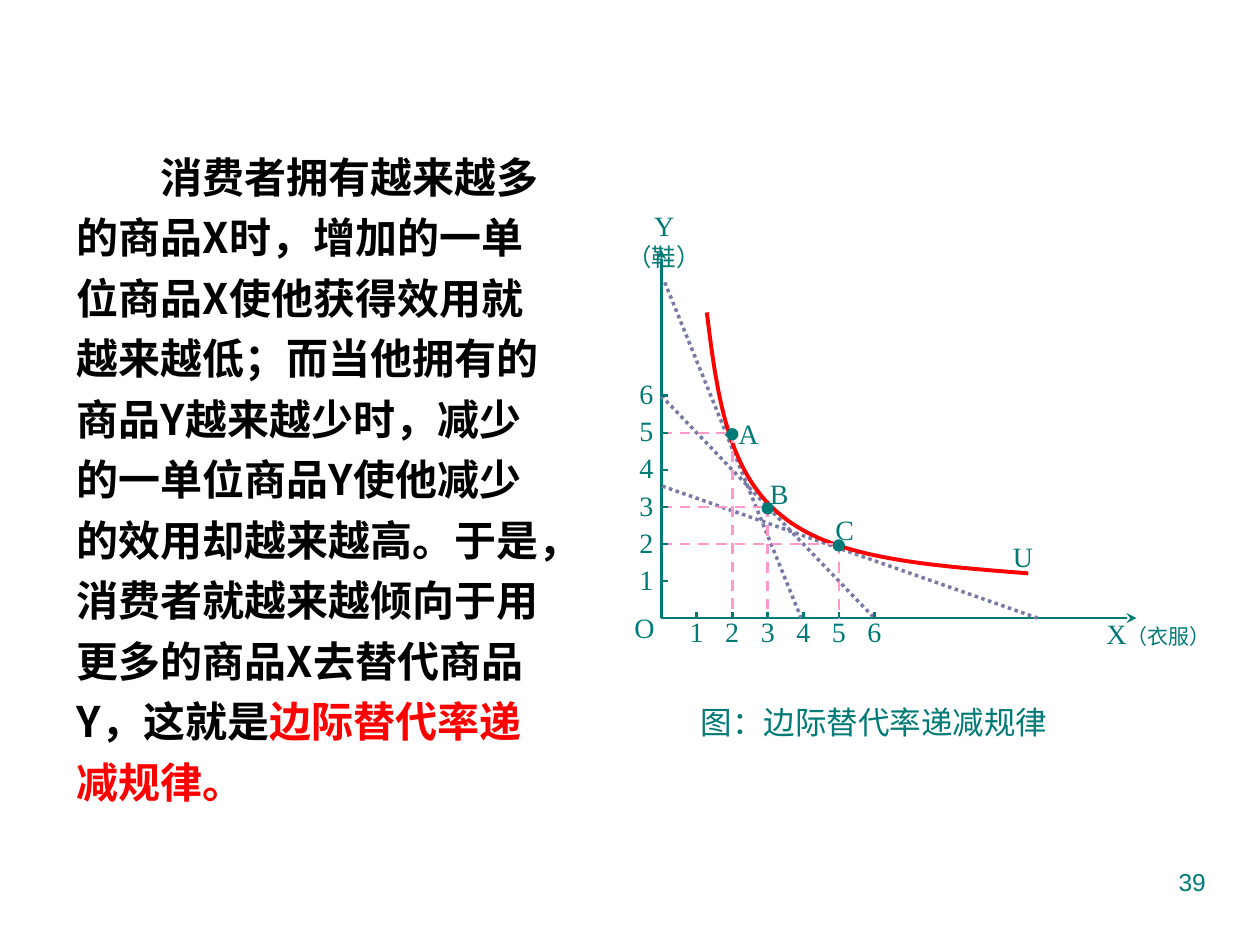
from dataclasses import dataclass

from pptx import Presentation
from pptx.dml.color import RGBColor
from pptx.enum.dml import MSO_LINE
from pptx.enum.shapes import MSO_CONNECTOR, MSO_SHAPE
from pptx.enum.text import PP_ALIGN
from pptx.oxml.ns import qn
from pptx.shapes.connector import Connector
from pptx.slide import Slide
from pptx.util import Cm, Pt
from lxml.etree import SubElement

TEAL = RGBColor(0x00, 0x7A, 0x77)
RED = RGBColor(0xFF, 0x00, 0x00)
BLACK = RGBColor(0x00, 0x00, 0x00)
PINK = RGBColor(0xFF, 0x99, 0xCC)
VIOLET = RGBColor(0x79, 0x79, 0xA5)

SERIF = "Times New Roman"
HAN = "Noto Sans CJK SC"

# Origin of the axes and length of one unit, in cm
ORIGIN_X, ORIGIN_Y = 13.33, 12.46
UNIT_X, UNIT_Y = 0.716, 0.747
TICK = 0.13
DOT = 0.25
DOT_DROP = 0.03
LABEL_WIDTH, LABEL_HEIGHT = 1.17, 1.02

Place = tuple[float, float]


@dataclass(frozen=True)
class Run:
    text: str
    size: float = 16
    font: str = SERIF
    color: RGBColor = TEAL
    bold: bool = False


@dataclass(frozen=True)
class Bundle:
    """A marked point of the curve, in axis units, with its label centre in cm."""
    name: str
    x: float
    y: float
    label: Place


@dataclass(frozen=True)
class Pen:
    color: RGBColor
    width: float
    dash: MSO_LINE | None = None


AXIS = Pen(TEAL, 1.5)
TANGENT = Pen(VIOLET, 2, MSO_LINE.ROUND_DOT)
GUIDE = Pen(PINK, 1.5, MSO_LINE.DASH)

BUNDLES = [
    Bundle("A", 2, 5, (15.09, 8.81)),
    Bundle("B", 3, 3, (15.71, 10.01)),
    Bundle("C", 5, 2, (17.03, 10.74)),
]
TANGENTS = [
    ((0, 6), (6, 0)),
    ((0.1, 9.06), (3.94, 0)),
    ((0.03, 3.56), (10.6, 0)),
]
# Bezier pieces of the indifference curve, in cm
CURVE = [
    ((14.25, 6.3), (14.45, 7.92), (14.66, 9.53), (15.75, 10.39)),
    ((15.75, 10.39), (16.81, 11.28), (18.77, 11.4), (20.73, 11.56)),
]
RULE_TEXT = (
    "消费者拥有越来越多的商品X时，增加的一单位商品X使他获得效用就越来越低；"
    "而当他拥有的商品Y越来越少时，减少的一单位商品Y使他减少的效用却越来越高。"
    "于是，消费者就越来越倾向于用更多的商品X去替代商品Y，这就是"
)


def plot(x: float, y: float) -> Place:
    """Turn axis units into cm on the slide."""
    return ORIGIN_X + x * UNIT_X, ORIGIN_Y - y * UNIT_Y


def add_text(slide: Slide, left: float, top: float, width: float, height: float,
             runs: list[Run], align: PP_ALIGN = PP_ALIGN.CENTER,
             inset: Place = (0.15, 0.1), spacing: float = 1.0,
             indent: float = 0) -> None:
    frame = slide.shapes.add_textbox(Cm(left), Cm(top), Cm(width), Cm(height)).text_frame
    frame.word_wrap = True
    frame.margin_left = frame.margin_right = Cm(inset[0])
    frame.margin_top = frame.margin_bottom = Cm(inset[1])
    paragraph = frame.paragraphs[0]
    paragraph.alignment = align
    paragraph.line_spacing = spacing
    if indent:
        paragraph._p.get_or_add_pPr().set("indent", str(Cm(indent)))
    for part in runs:
        run = paragraph.add_run()
        run.text = part.text
        run.font.size = Pt(part.size)
        run.font.bold = part.bold
        run.font.color.rgb = part.color
        run.font.name = part.font
        SubElement(run._r.get_or_add_rPr(), qn("a:ea")).set("typeface", HAN)


def add_label(slide: Slide, text: str, center: Place) -> None:
    add_text(slide, center[0] - LABEL_WIDTH / 2, center[1] - LABEL_HEIGHT / 2,
             LABEL_WIDTH, LABEL_HEIGHT, [Run(text)])


def add_line(slide: Slide, start: Place, end: Place, pen: Pen) -> Connector:
    line = slide.shapes.add_connector(
        MSO_CONNECTOR.STRAIGHT, Cm(start[0]), Cm(start[1]), Cm(end[0]), Cm(end[1]))
    line.line.color.rgb = pen.color
    line.line.width = Pt(pen.width)
    if pen.dash is not None:
        line.line.dash_style = pen.dash
    SubElement(line._element.spPr, qn("a:effectLst"))
    return line


def add_axis(slide: Slide, end: Place) -> None:
    axis = add_line(slide, (ORIGIN_X, ORIGIN_Y), end, AXIS)
    SubElement(axis.line._get_or_add_ln(), qn("a:tailEnd")).set("type", "stealth")


def bezier(piece: tuple[Place, ...], t: float) -> Place:
    weights = ((1 - t) ** 3, 3 * t * (1 - t) ** 2, 3 * t * t * (1 - t), t ** 3)
    return (sum(w * x for w, (x, _) in zip(weights, piece)),
            sum(w * y for w, (_, y) in zip(weights, piece)))


def add_curve(slide: Slide, steps: int = 30) -> None:
    points = [bezier(piece, i / steps) for piece in CURVE for i in range(steps + 1)]
    (start_x, start_y), *rest = [(Cm(x), Cm(y)) for x, y in points]
    builder = slide.shapes.build_freeform(start_x, start_y)
    builder.add_line_segments(rest, close=False)
    curve = builder.convert_to_shape()
    curve.shadow.inherit = False
    curve.fill.background()
    curve.line.color.rgb = RED
    curve.line.width = Pt(2.25)


def add_dot(slide: Slide, center: Place) -> None:
    dot = slide.shapes.add_shape(
        MSO_SHAPE.OVAL, Cm(center[0] - DOT / 2), Cm(center[1] - DOT / 2 + DOT_DROP),
        Cm(DOT), Cm(DOT))
    dot.shadow.inherit = False
    dot.fill.solid()
    dot.fill.fore_color.rgb = TEAL
    dot.line.fill.background()


def add_diagram(slide: Slide) -> None:
    add_axis(slide, (ORIGIN_X, 5.03))
    add_axis(slide, (22.91, ORIGIN_Y))
    add_text(slide, 22.15, 12.32, 2.41, 1.02, [Run("X"), Run("（衣服）", 12)])
    add_text(slide, 12.34, 4.11, 2.1, 1.63, [Run("Y"), Run("（鞋）", 14)])
    add_label(slide, "O", (12.99, 12.72))
    add_label(slide, "U", (20.62, 11.28))

    for start, end in TANGENTS:
        add_line(slide, plot(*start), plot(*end), TANGENT)
    add_curve(slide)
    for bundle in BUNDLES:
        point = plot(bundle.x, bundle.y)
        add_line(slide, plot(0, bundle.y), point, GUIDE)
        add_line(slide, point, plot(bundle.x, 0), GUIDE)
        add_label(slide, bundle.name, bundle.label)

    for value in range(1, 7):
        x, _ = plot(value, 0)
        _, y = plot(0, value)
        add_line(slide, (x, ORIGIN_Y), (x, ORIGIN_Y - TICK), AXIS)
        add_line(slide, (ORIGIN_X, y), (ORIGIN_X + TICK, y), AXIS)
        add_label(slide, str(value), (x, 12.8))
        add_label(slide, str(value), (13.03, y + 0.03))
    for bundle in BUNDLES:
        add_dot(slide, plot(bundle.x, bundle.y))


def main() -> None:
    deck = Presentation()
    deck.slide_width, deck.slide_height = Cm(25.4), Cm(19.05)
    slide = deck.slides.add_slide(deck.slide_layouts[6])
    wide = (0.25, 0.13)
    add_text(slide, 12.37, 14.05, 10.49, 1.07,
             [Run("图：边际替代率递减规律", 18, HAN)], inset=wide)
    add_diagram(slide)
    add_text(slide, 1.3, 2.72, 10.21, 13.67,
             [Run(RULE_TEXT, 24, HAN, BLACK, True),
              Run("边际替代率递减规律。", 24, HAN, RED, True)],
             PP_ALIGN.LEFT, wide, spacing=1.2, indent=1.69)
    add_text(slide, 18.21, 17.35, 6.35, 1.32, [Run("39", 14, "Arial")],
             PP_ALIGN.RIGHT, wide)
    deck.save("out.pptx")


if __name__ == "__main__":
    main()
